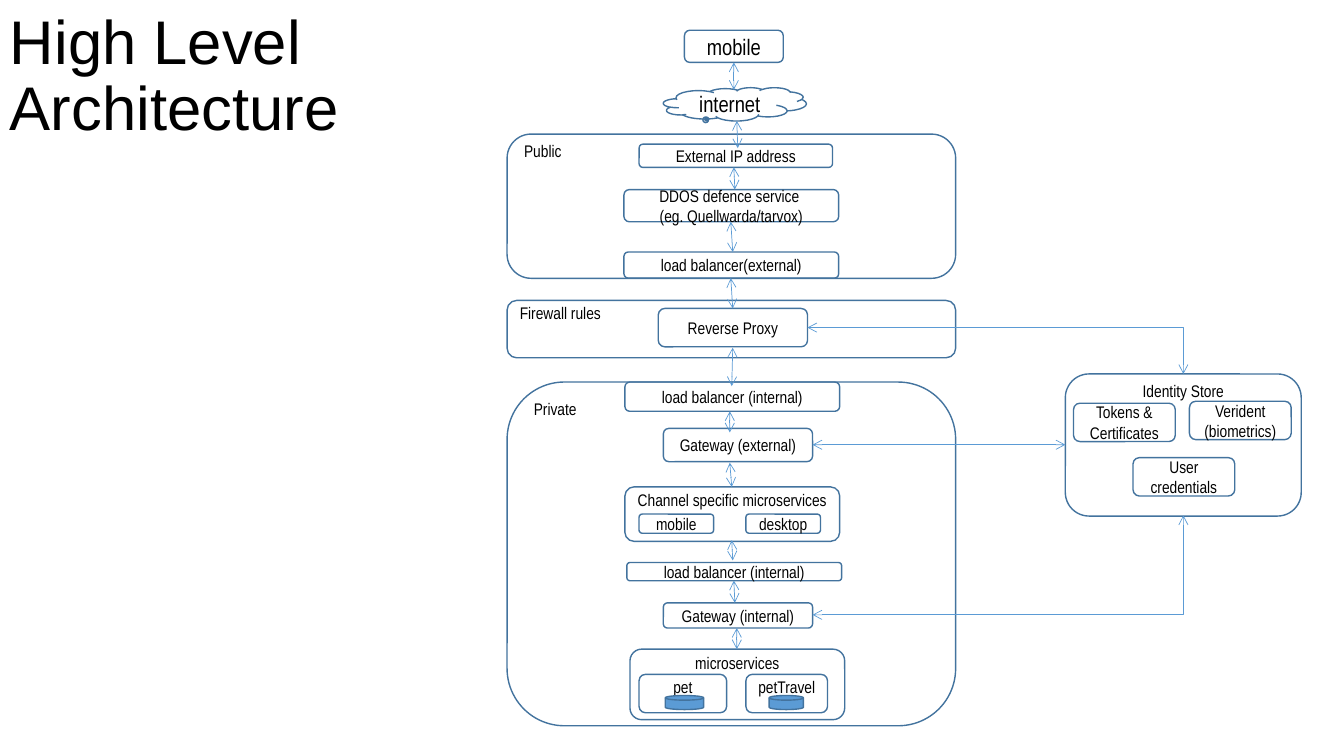
"""Build the High Level Architecture slide."""
from dataclasses import dataclass

import lxml.etree
import pptx
import pptx.dml.color
import pptx.enum.shapes
import pptx.enum.text
import pptx.oxml.ns
import pptx.util

Pt = pptx.util.Pt
qn = pptx.oxml.ns.qn
Geom = pptx.enum.shapes.MSO_SHAPE
Link = pptx.enum.shapes.MSO_CONNECTOR
Align = pptx.enum.text.PP_ALIGN
Anchor = pptx.enum.text.MSO_ANCHOR

COLORS = {"text": "000000", "outline": "43739E", "accent": "5B9BD5"}
FONT = "Arial Narrow"
WIDE, GATE, STORE_W, ROW_H = 153.4, 106.6, 72.7, 27.4
ZONE_X, ZONE_W = 362.2, 320.4
LEFT_X, RIGHT_X = 456.5, 532.8
STORE_MID = 845.3


@dataclass(frozen=True)
class Box:
    x: float
    y: float
    w: float
    h: float
    lines: tuple[str, ...]
    size: int = 12
    geom: Geom = Geom.ROUNDED_RECTANGLE
    align: Align = Align.CENTER
    top: bool = False
    bottom: float = 2.9


@dataclass(frozen=True)
class Arrow:
    x1: float
    y1: float
    x2: float
    y2: float
    bent: bool = False


def zone(y: float, h: float, label: str) -> Box:
    return Box(ZONE_X, y, ZONE_W, h, (label,), align=Align.LEFT, top=True)


BOXES = [
    Box(488.9, 21.6, 70.6, 23, ("mobile",), 16),
    Box(473.8, 62.6, 102.2, 23.8, ("internet",), 16, Geom.CLOUD_CALLOUT),
    Box(LEFT_X, 103, 138.2, 16.6, ("External IP address",)),
    Box(445.7, 135.4, WIDE, 23, ("DDOS defence service ", "(eg. Quellwarda/tarvox)")),
    Box(445.7, 180, WIDE, 18.7, ("load balancer(external)",)),
    Box(470.2, 220.3, GATE, ROW_H, ("Reverse Proxy",)),
    Box(761, 267.1, 168.5, 101.5, ("Identity Store",), top=True),
    Box(849.6, 286.6, STORE_W, ROW_H, ("Verident", "(biometrics)")),
    Box(766.8, 288, STORE_W, ROW_H, ("Tokens & Certificates",)),
    Box(809.3, 326.9, STORE_W, ROW_H, ("User credentials",)),
    zone(95.8, 103, "Public"),
    zone(214.6, 41, "Firewall rules"),
    zone(272.9, 245.5, "Private"),
    Box(446.4, 272.9, WIDE, 20.9, ("load balancer (internal)",)),
    Box(473.8, 306, GATE, 23.8, ("Gateway (external)",)),
    Box(446.4, 347.8, WIDE, 38.9, ("Channel specific microservices",), top=True),
    Box(LEFT_X, 367.2, 53.3, 13.7, ("mobile",)),
    Box(RIGHT_X, 367.2, 53.3, 13.7, ("desktop",)),
    Box(447.8, 401.8, WIDE, 13, ("load balancer (internal)",)),
    Box(473.8, 430.6, GATE, 18, ("Gateway (internal)",)),
    Box(450, 463.7, WIDE, 50.4, ("microservices",), top=True),
    Box(LEFT_X, 481.7, 62.6, ROW_H, ("pet",), top=True, bottom=0),
    Box(RIGHT_X, 481.7, 58.3, ROW_H, ("petTravel",), top=True, bottom=0),
]
DISKS = [Box(x, 496.8, w, 10.1, (), geom=Geom.FLOWCHART_MAGNETIC_DISK)
         for x, w in ((475.2, 27.4), (549.4, 24.5))]
ARROWS = [
    Arrow(524.2, 44.6, 524.2, 64.1),
    Arrow(526.3, 86.4, 527, 105.8),
    Arrow(524.2, 119.5, 524.9, 135.4),
    Arrow(522, 158.4, 523.4, 180),
    Arrow(522, 198.7, 523.4, 220.3),
    Arrow(576.8, 234, STORE_MID, 267.1, bent=True),
    Arrow(523.4, 248.4, 522.7, 275.8),
    Arrow(521.3, 293.8, 521.3, 308.9),
    Arrow(580.4, 317.7, 761, 317.7),
    Arrow(521.3, 330.5, 522.7, 347.8),
    Arrow(522.7, 385.9, 523.4, 400.3),
    Arrow(524.2, 414.7, 524.9, 430.6),
    Arrow(526.3, 448.6, 526.3, 463.7),
    Arrow(580.4, 439.2, STORE_MID, 368.2, bent=True),
]


def color(name: str) -> pptx.dml.color.RGBColor:
    return pptx.dml.color.RGBColor.from_string(COLORS[name])


def add_run(p, text: str, size: int, font: str) -> None:
    r = p.add_run()
    r.text = text
    r.font.size, r.font.name = Pt(size), font
    r.font.color.rgb = color("text")


def add_title(s, lines: tuple[str, ...]) -> None:
    tf = s.shapes.add_textbox(Pt(0), Pt(10.8), Pt(308.2), Pt(95.8)).text_frame
    tf.word_wrap = True
    tf.vertical_anchor = Anchor.BOTTOM
    p = tf.paragraphs[0]
    p.line_spacing = 0.9
    for i, line in enumerate(lines):
        if i:
            p.add_line_break()
        add_run(p, line, 44, "Arial")


def add_box(s, box: Box):
    sp = s.shapes.add_shape(box.geom, Pt(box.x), Pt(box.y), Pt(box.w), Pt(box.h))
    sp.shadow.inherit = False
    sp.fill.background()
    sp.line.color.rgb = color("outline")
    sp.line.width = Pt(1)
    tf = sp.text_frame
    tf.word_wrap = True
    tf.vertical_anchor = Anchor.TOP if box.top else Anchor.MIDDLE
    if box.top:
        tf.margin_top, tf.margin_bottom = Pt(0), Pt(box.bottom)
    for i, line in enumerate(box.lines):
        p = tf.add_paragraph() if i else tf.paragraphs[0]
        p.alignment = box.align
        add_run(p, line, box.size, FONT)
    if box.geom == Geom.CLOUD_CALLOUT:
        sp.adjustments[0], sp.adjustments[1] = -0.2, 0.458
    return sp


def add_disk(s, disk: Box) -> None:
    sp = add_box(s, disk)
    sp.fill.solid()
    sp.fill.fore_color.rgb = color("accent")


def add_arrow(s, arrow: Arrow) -> None:
    kind = Link.ELBOW if arrow.bent else Link.STRAIGHT
    ends = (Pt(v) for v in (arrow.x1, arrow.y1, arrow.x2, arrow.y2))
    cxn = s.shapes.add_connector(kind, *ends)
    cxn.line.color.rgb = color("accent")
    cxn.line.width = Pt(0.5)
    sppr = cxn._element.spPr
    if arrow.bent:
        sppr.find(qn("a:prstGeom")).set("prst", "bentConnector2")
    ln = sppr.find(qn("a:ln"))
    for tag in ("a:headEnd", "a:tailEnd"):
        lxml.etree.SubElement(ln, qn(tag), type="arrow")
    lxml.etree.SubElement(sppr, qn("a:effectLst"))


def main() -> None:
    prs = pptx.Presentation()
    prs.slide_width, prs.slide_height = Pt(960), Pt(540)
    s = prs.slides.add_slide(prs.slide_layouts[6])
    add_title(s, ("High Level ", "Architecture"))
    for box in BOXES:
        add_box(s, box)
    for disk in DISKS:
        add_disk(s, disk)
    for arrow in ARROWS:
        add_arrow(s, arrow)
    prs.save("out.pptx")


main()
